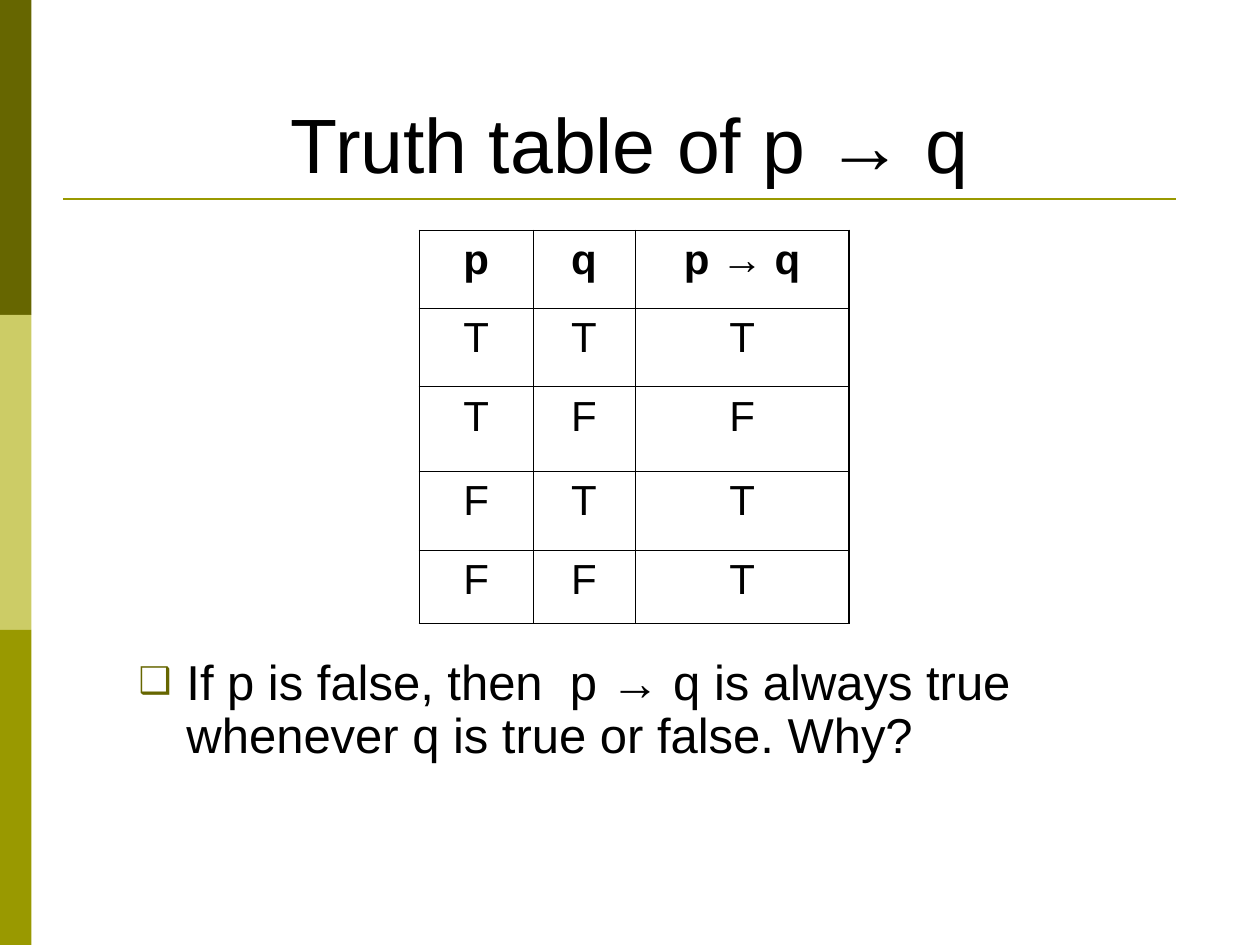
from pptx import Presentation
from pptx.dml.color import RGBColor
from pptx.enum.shapes import MSO_CONNECTOR as Connector, MSO_SHAPE as Preset
from pptx.enum.text import MSO_ANCHOR as Anchor, MSO_AUTO_SIZE as AutoSize, PP_ALIGN as Align
from pptx.oxml.ns import qn
from pptx.util import Inches, Pt
from lxml.etree import SubElement

BLACK = "000000"
DARK_OLIVE = "666600"
OLIVE = "999900"
LIGHT_OLIVE = "CCCC66"
THIN, THICK = 0.45, 1.08
COLUMN_WIDTHS = [0.9, 0.81, 1.7]
ROW_HEIGHTS = [0.62, 0.62, 0.67, 0.63, 0.58]
TRUTH_ROWS = [
    ["p", "q", "p → q"],
    ["T", "T", "T"],
    ["T", "F", "F"],
    ["F", "T", "T"],
    ["F", "F", "T"],
]


def color(hex_value):
    return RGBColor.from_string(hex_value)


def write_text(frame, text, size, bold=False, align=Align.LEFT, before=0, spacing=1.0):
    frame.word_wrap = True
    paragraph = frame.paragraphs[0]
    paragraph.alignment = align
    paragraph.line_spacing = spacing
    paragraph.space_before = Pt(before)
    run = paragraph.add_run()
    run.text = text
    run.font.name = "Arial"
    run.font.size = Pt(size)
    run.font.bold = bold
    run.font.color.rgb = color(BLACK)
    return paragraph


def place(shape, left, top, width, height):
    shape.left, shape.top = Inches(left), Inches(top)
    shape.width, shape.height = Inches(width), Inches(height)


def add_sidebar(slide, left, top, width, height):
    band_colors = [DARK_OLIVE, LIGHT_OLIVE, OLIVE]
    band_height = height / len(band_colors)
    for index, band_color in enumerate(band_colors):
        band = slide.shapes.add_shape(
            Preset.RECTANGLE, Inches(left), Inches(top + index * band_height),
            Inches(width), Inches(band_height))
        band.shadow.inherit = False
        band.fill.solid()
        band.fill.fore_color.rgb = color(band_color)
        band.line.fill.background()


def add_title_rule(slide, left, top, width):
    rule = slide.shapes.add_connector(
        Connector.STRAIGHT, Inches(left), Inches(top), Inches(left + width), Inches(top))
    rule.line.color.rgb = color(OLIVE)
    rule.line.width = Pt(1.5)
    SubElement(rule._element.spPr, qn("a:effectLst"))


def add_title(slide, left, top, width, height):
    title = slide.shapes.title
    place(title, left, top, width, height)
    frame = title.text_frame
    frame.auto_size = AutoSize.NONE
    frame.vertical_anchor = Anchor.BOTTOM
    write_text(frame, "Truth table of p → q", size=44, align=Align.CENTER)


def add_bullet(paragraph, character, hex_value, percent):
    properties = paragraph._p.get_or_add_pPr()
    indent = Inches(0.38)
    properties.set("marL", str(indent))
    properties.set("indent", str(-indent))
    bullet_color = SubElement(properties, qn("a:buClr"))
    SubElement(bullet_color, qn("a:srgbClr"), val=hex_value)
    SubElement(properties, qn("a:buSzPct"), val=str(percent * 1000))
    SubElement(properties, qn("a:buFont"), typeface="Arial")
    SubElement(properties, qn("a:buChar"), char=character)


def add_remark(slide, left, top, width, height):
    body = slide.placeholders[1]
    place(body, left, top, width, height)
    frame = body.text_frame
    frame.auto_size = AutoSize.NONE
    frame.vertical_anchor = Anchor.TOP
    frame.margin_top = Inches(3.14)
    paragraph = write_text(
        frame, "If p is false, then  p → q is always true whenever q is true or false. Why?",
        size=28, before=7, spacing=0.9)
    add_bullet(paragraph, "❑", DARK_OLIVE, 75)


def set_borders(cell, **widths):
    properties = cell._tc.get_or_add_tcPr()
    for side, width in widths.items():
        border = SubElement(properties, qn(f"a:ln{side}"), w=str(Pt(width)))
        fill = SubElement(border, qn("a:solidFill"))
        SubElement(fill, qn("a:srgbClr"), val=BLACK)


def add_truth_table(slide, left, top):
    last_row, last_column = len(ROW_HEIGHTS) - 1, len(COLUMN_WIDTHS) - 1
    table = slide.shapes.add_table(
        len(ROW_HEIGHTS), len(COLUMN_WIDTHS), Inches(left), Inches(top),
        Inches(sum(COLUMN_WIDTHS)), Inches(sum(ROW_HEIGHTS))).table
    table.first_row = True
    table.horz_banding = False
    for column, width in zip(table.columns, COLUMN_WIDTHS):
        column.width = Inches(width)
    for row_index, (values, height) in enumerate(zip(TRUTH_ROWS, ROW_HEIGHTS)):
        table.rows[row_index].height = Inches(height)
        for column_index, value in enumerate(values):
            cell = table.cell(row_index, column_index)
            set_borders(
                cell,
                L=THICK if column_index == 0 else THIN,
                R=THICK if column_index == last_column else THIN,
                T=THICK if row_index == 0 else THIN,
                B=THICK if row_index == last_row else THIN)
            cell.fill.background()
            write_text(cell.text_frame, value, size=24, bold=row_index == 0,
                       align=Align.CENTER, before=6)


def main():
    presentation = Presentation()
    presentation.slide_width, presentation.slide_height = Inches(10), Inches(7.5)
    slide = presentation.slides.add_slide(presentation.slide_layouts[1])
    add_sidebar(slide, 0, 0, 0.25, 7.5)
    add_title_rule(slide, 0.5, 1.58, 8.83)
    add_title(slide, 0.5, 0.3, 9, 1.25)
    add_remark(slide, 1, 2.08, 8.33, 4.12)
    add_truth_table(slide, 3.33, 1.83)
    presentation.save("out.pptx")


if __name__ == "__main__":
    main()
